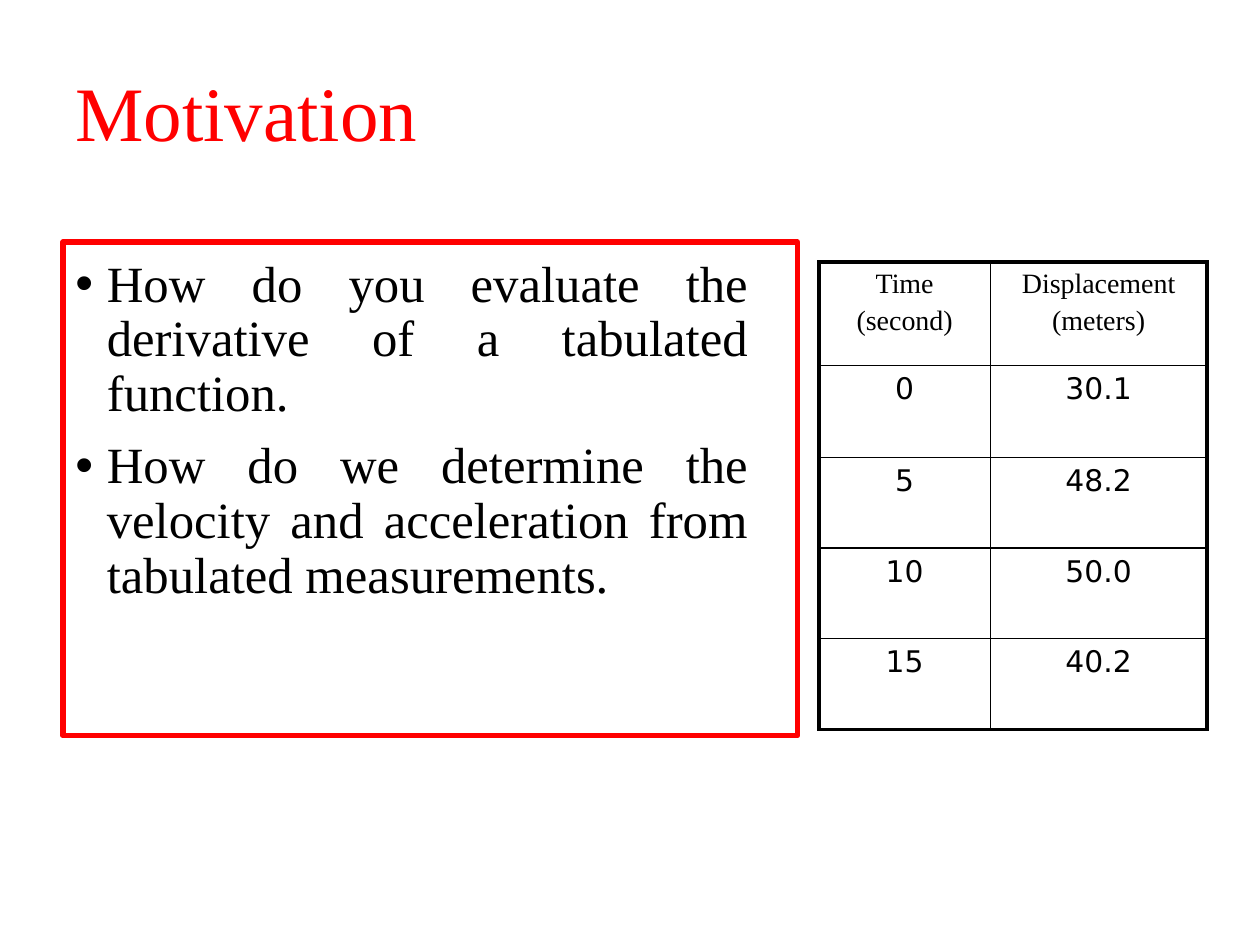
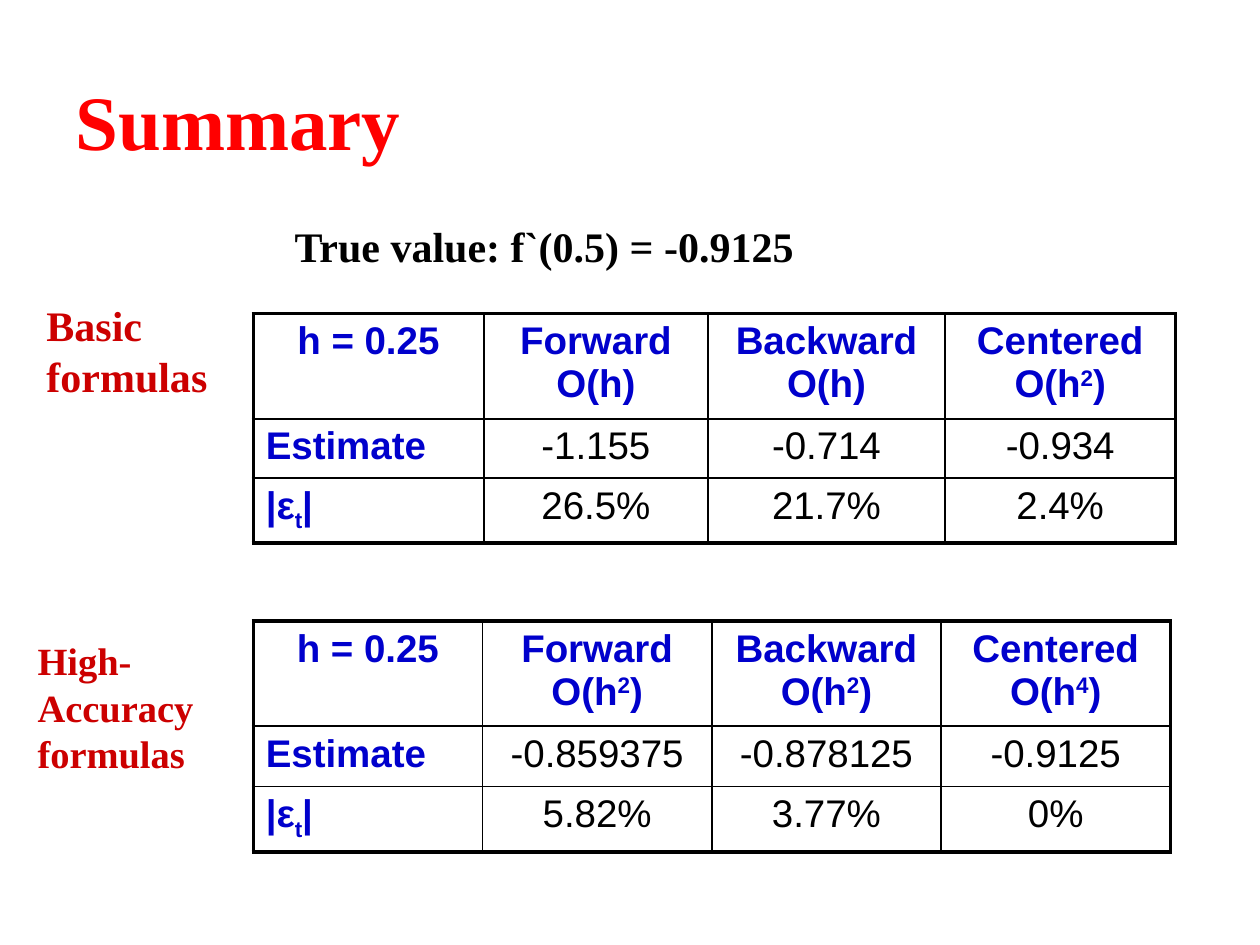
from lxml.etree import SubElement
from pptx import Presentation
from pptx.dml.color import RGBColor
from pptx.enum.shapes import MSO_SHAPE
from pptx.enum.text import MSO_ANCHOR, PP_ALIGN
from pptx.oxml.ns import qn
from pptx.util import Inches, Pt

RED = RGBColor(0xFF, 0x00, 0x00)
DARK_RED = RGBColor(0xCC, 0x00, 0x00)
BLUE = RGBColor(0x00, 0x00, 0xCC)
BLACK = RGBColor(0x00, 0x00, 0x00)
SERIF, SANS, DIGITS = "Times New Roman", "Arial", "DejaVu Sans"
OUTER, INNER = 2.25, 1
SUPER, SUB = 30000, -25000


class Deck:
    def __init__(self):
        self.prs = Presentation()
        self.prs.slide_width, self.prs.slide_height = Inches(10), Inches(7.5)
        self.slide = None

    def new_slide(self):
        self.slide = self.prs.slides.add_slide(self.prs.slide_layouts[6])

    def add_runs(self, p, content, size, color=BLACK, font=SERIF, bold=False):
        """Add content to a paragraph: a string, or a list of (text, baseline)."""
        runs = [(content, 0)] if isinstance(content, str) else content
        for text, baseline in runs:
            r = p.add_run()
            r.text = text
            r.font.size, r.font.name, r.font.bold = Pt(size), font, bold
            r.font.color.rgb = color
            if baseline:
                r._r.get_or_add_rPr().set("baseline", str(baseline))

    def text_frame(self, x, y, w, h):
        tf = self.slide.shapes.add_textbox(
            Inches(x), Inches(y), Inches(w), Inches(h)).text_frame
        tf.word_wrap = True
        return tf

    def title(self, text, y, w, h, bold=False):
        tf = self.text_frame(0.5, y, w, h)
        tf.vertical_anchor = MSO_ANCHOR.MIDDLE
        p = tf.paragraphs[0]
        p.line_spacing = 0.9
        self.add_runs(p, text, 44, RED, bold=bold)

    def label(self, text, x, y, w, h, size=24, color=DARK_RED):
        p = self.text_frame(x, y, w, h).paragraphs[0]
        p.space_before = Pt(size * 0.5)
        self.add_runs(p, text, size, color, bold=True)

    def bullets(self, items, x, y, w, h):
        tf = self.text_frame(x, y, w, h)
        for i, item in enumerate(items):
            p = tf.add_paragraph() if i else tf.paragraphs[0]
            p.alignment = PP_ALIGN.JUSTIFY
            p.line_spacing, p.space_before = 0.9, Pt(10)
            pPr = p._p.get_or_add_pPr()
            pPr.set("marL", str(Inches(0.25)))
            pPr.set("indent", str(Inches(-0.25)))
            SubElement(pPr, qn("a:buFont"), typeface="Arial")
            SubElement(pPr, qn("a:buChar"), char="•")
            self.add_runs(p, item, 29)

    def frame(self, x, y, w, h):
        sp = self.slide.shapes.add_shape(
            MSO_SHAPE.RECTANGLE, Inches(x), Inches(y), Inches(w), Inches(h))
        sp.shadow.inherit = False
        sp.fill.background()
        sp.line.color.rgb, sp.line.width = RED, Pt(3)

    def borders(self, cell, widths):
        """Draw left, right, top and bottom lines of the given point widths."""
        tcPr = cell._tc.get_or_add_tcPr()
        for i, (side, width) in enumerate(zip("LRTB", widths)):
            ln = SubElement(tcPr, qn(f"a:ln{side}"), w=str(Pt(width)))
            fill = SubElement(ln, qn("a:solidFill"))
            SubElement(fill, qn("a:srgbClr"), val=str(BLACK))
            tcPr.insert(i, ln)

    def table(self, x, y, cols, rows, cells, style):
        """Fill a ruled table; style(row, col) gives the options for a cell.

        A cell is a list of paragraphs.
        """
        tbl = self.slide.shapes.add_table(
            len(rows), len(cols), Inches(x), Inches(y),
            Inches(sum(cols)), Inches(sum(rows))).table
        tbl.first_row = tbl.horz_banding = False
        for col, width in zip(tbl.columns, cols):
            col.width = Inches(width)
        for row, height in zip(tbl.rows, rows):
            row.height = Inches(height)
        for i, row in enumerate(cells):
            for j, paragraphs in enumerate(row):
                cell, (align, font) = tbl.cell(i, j), style(i, j)
                cell.fill.background()
                edges = (j == 0, j == len(cols) - 1, i == 0, i == len(rows) - 1)
                self.borders(cell, [OUTER if edge else INNER for edge in edges])
                for k, content in enumerate(paragraphs):
                    tf = cell.text_frame
                    p = tf.add_paragraph() if k else tf.paragraphs[0]
                    p.alignment = align
                    p.space_before = Pt(font["size"] * 0.2)
                    self.add_runs(p, content, **font)


def measurement_style(row, col):
    if row == 0:
        return PP_ALIGN.CENTER, dict(size=16)
    return PP_ALIGN.CENTER, dict(size=17, font=DIGITS)


def summary_style(row, col):
    heading = row == 0 or col == 0
    align = PP_ALIGN.LEFT if row and col == 0 else PP_ALIGN.CENTER
    return align, dict(size=22, font=SANS, bold=heading,
                       color=BLUE if heading else BLACK)


def summary_cells(orders, estimates, errors):
    """Rows of a summary table; an order of 1 is shown without exponent."""
    header = [["h = 0.25"]]
    for method, order in zip(("Forward", "Backward", "Centered"), orders):
        if order == 1:
            header.append([f"{method} O(h)"])
        else:
            header.append([[(f"{method} O(h", 0), (str(order), SUPER), (")", 0)]])
    error_name = [("|ε", 0), ("t", SUB), ("|", 0)]
    return [header,
            [["Estimate"]] + [[value] for value in estimates],
            [[error_name]] + [[value] for value in errors]]


def motivation(deck):
    deck.new_slide()
    deck.title("Motivation", 0.3, 9, 1.25)
    deck.bullets(
        ["How do you evaluate the derivative of a tabulated function.",
         "How do we determine the velocity and acceleration from "
         "tabulated measurements."],
        0.5, 2, 5.54, 3.6)
    measurements = [("0", "30.1"), ("5", "48.2"), ("10", "50.0"), ("15", "40.2")]
    cells = [[["Time", "(second)"], ["Displacement", "(meters)"]]]
    cells += [[[time], [distance]] for time, distance in measurements]
    deck.table(6.5, 2.08, [1.36, 1.72], [0.82, 0.73] + [0.72] * 3,
               cells, measurement_style)
    deck.frame(0.5, 1.92, 5.83, 3.92)


def summary(deck):
    deck.new_slide()
    deck.title("Summary", 0.44, 8.25, 1.11, bold=True)
    deck.label("True value: f`(0.5) = -0.9125", 2.24, 1.7, 5.74, 0.5, color=BLACK)
    deck.label("Basic formulas", 0.27, 2.33, 1.75, 0.91)
    deck.table(2.01, 2.49, [1.83, 1.78, 1.88, 1.83], [0.83, 0.47, 0.51],
               summary_cells((1, 1, 2), ("-1.155", "-0.714", "-0.934"),
                             ("26.5%", "21.7%", "2.4%")),
               summary_style)
    deck.label("High-Accuracy formulas", 0.2, 5.01, 1.58, 1.21, size=22)
    deck.table(2.01, 4.93, [1.82] * 4, [0.83, 0.48, 0.48],
               summary_cells((2, 2, 4), ("-0.859375", "-0.878125", "-0.9125"),
                             ("5.82%", "3.77%", "0%")),
               summary_style)


def main():
    deck = Deck()
    motivation(deck)
    summary(deck)
    deck.prs.save("out.pptx")


if __name__ == "__main__":
    main()
